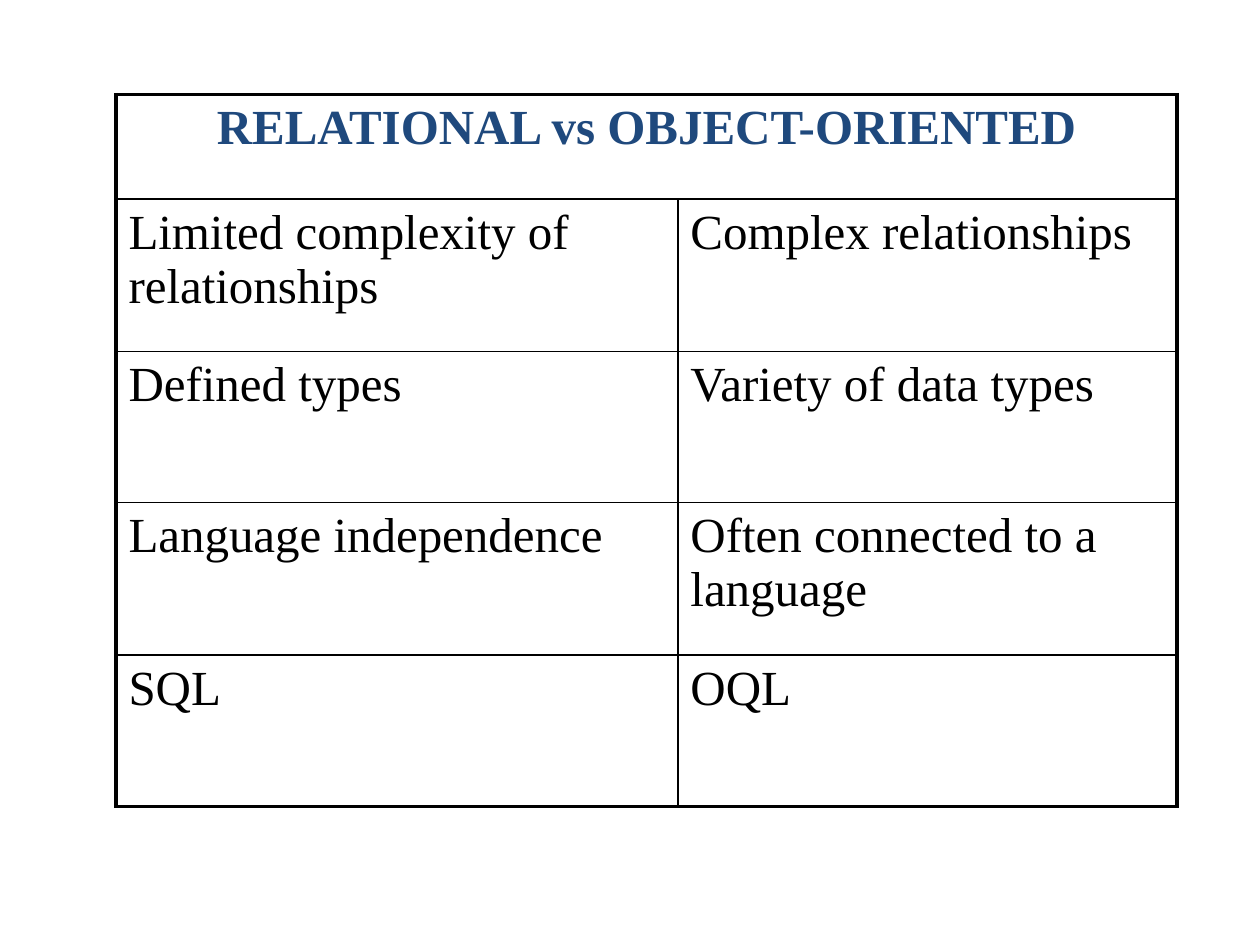
from lxml.etree import SubElement
from pptx import Presentation
from pptx.dml.color import RGBColor
from pptx.enum.text import PP_ALIGN
from pptx.oxml.ns import qn
from pptx.util import Inches, Pt

BLACK = RGBColor(0x00, 0x00, 0x00)
NAVY = RGBColor(0x1F, 0x49, 0x7D)
FONT = "Times New Roman"
OUTER, INNER = Pt(2.25), Pt(1)

TITLE = "RELATIONAL vs OBJECT-ORIENTED"
COMPARISONS = [
    ("Limited complexity of relationships", "Complex relationships"),
    ("Defined types", "Variety of data types"),
    ("Language independence", "Often connected to a language"),
    ("SQL", "OQL"),
]
COLUMN_WIDTHS = [4.46, 3.96]
ROW_HEIGHTS = [0.83, 1.21, 1.2, 1.21, 1.2]


def write_cell(cell, text, color=BLACK, bold=False, align=PP_ALIGN.LEFT):
    cell.text_frame.text = text
    paragraph = cell.text_frame.paragraphs[0]
    paragraph.alignment = align
    font = paragraph.runs[0].font
    font.name, font.size, font.bold = FONT, Pt(28), bold
    font.color.rgb = color


def set_borders(cell, widths):
    """Draw the left, right, top and bottom borders; they precede the fill."""
    cell.fill.background()
    properties = cell._tc.get_or_add_tcPr()
    for index, (side, width) in enumerate(zip("LRTB", widths)):
        line = SubElement(properties, qn(f"a:ln{side}"), w=str(width))
        fill = SubElement(line, qn("a:solidFill"))
        SubElement(fill, qn("a:srgbClr"), val=str(BLACK))
        properties.insert(index, line)


def add_comparison_table(slide):
    row_count, column_count = len(ROW_HEIGHTS), len(COLUMN_WIDTHS)
    table = slide.shapes.add_table(
        row_count, column_count, Inches(0.92), Inches(0.75),
        Inches(sum(COLUMN_WIDTHS)), Inches(sum(ROW_HEIGHTS))).table
    table.first_row = table.horz_banding = False
    for column, width in zip(table.columns, COLUMN_WIDTHS):
        column.width = Inches(width)
    for row, height in zip(table.rows, ROW_HEIGHTS):
        row.height = Inches(height)

    # Heading across both columns
    heading = table.cell(0, 0)
    heading.merge(table.cell(0, column_count - 1))
    write_cell(heading, TITLE, NAVY, True, PP_ALIGN.CENTER)

    # Relational on the left, object-oriented on the right
    for row, texts in enumerate(COMPARISONS, start=1):
        for column, text in enumerate(texts):
            write_cell(table.cell(row, column), text)

    # Thick frame, thin inner lines
    for row in range(row_count):
        for column in range(column_count):
            cell = table.cell(row, column)
            on_frame = (column == 0,
                        column == column_count - 1 or cell.is_merge_origin,
                        row == 0, row == row_count - 1)
            set_borders(cell, [OUTER if edge else INNER for edge in on_frame])


def main():
    presentation = Presentation()
    presentation.slide_width = Inches(10)
    presentation.slide_height = Inches(7.5)
    slide = presentation.slides.add_slide(presentation.slide_layouts[6])
    add_comparison_table(slide)
    presentation.save("out.pptx")


if __name__ == "__main__":
    main()
